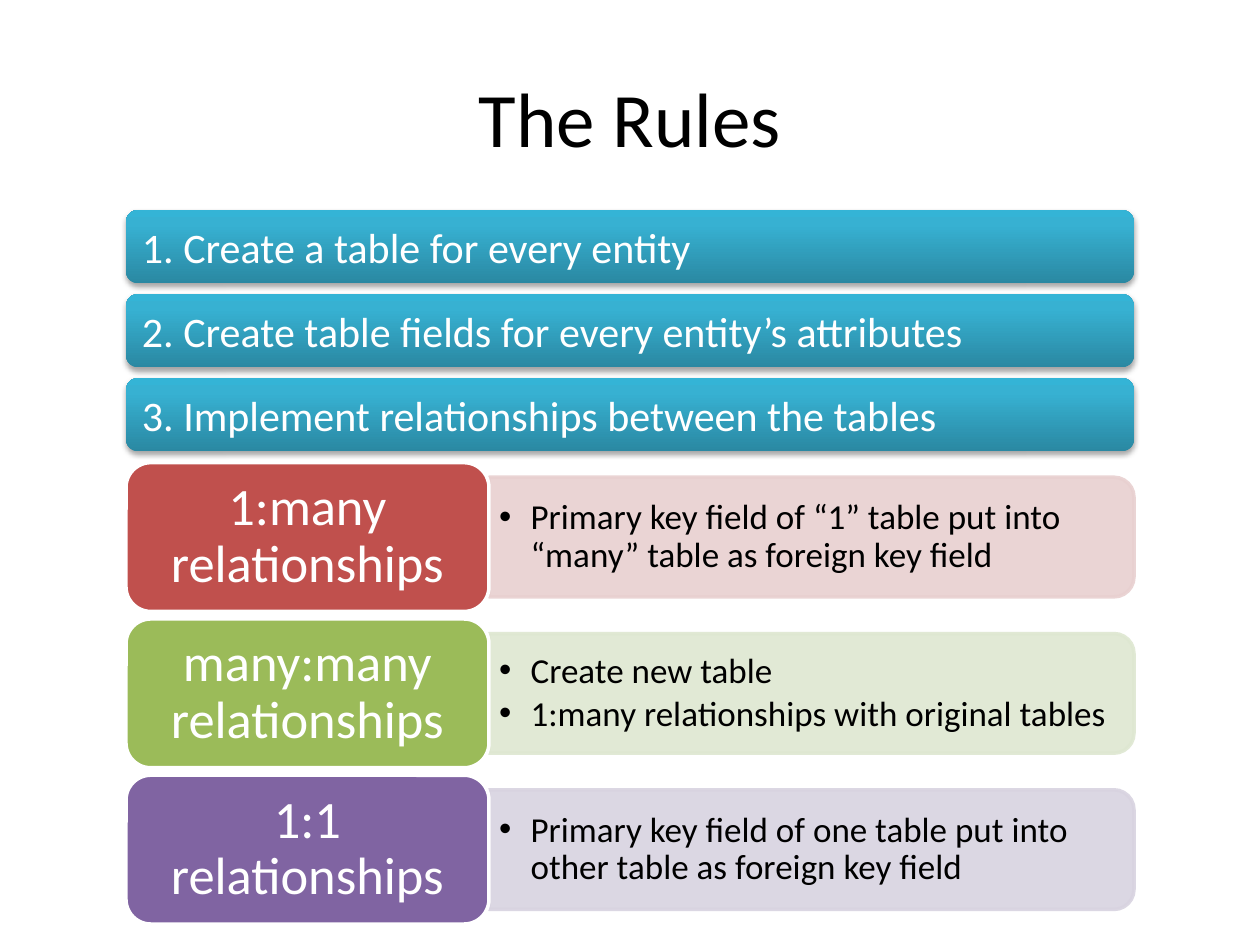
from pptx import Presentation
from pptx import util as u
from pptx.dml.color import RGBColor
from pptx.enum import shapes, text
from pptx.oxml import parse_xml
from pptx.oxml.ns import nsdecls, qn
from lxml import etree

TITLE = "The Rules"
RULES = [
    "1. Create a table for every entity",
    "2. Create table fields for every entity’s attributes",
    "3. Implement relationships between the tables",
]
RELATIONSHIPS = [
    ("1:many relationships", "C0504D", "E8D0D0",
     ["Primary key field of “1” table put into “many” table as foreign key field"]),
    ("many:many relationships", "9BBB59", "DEE7D1",
     ["Create new table", "1:many relationships with original tables"]),
    ("1:1 relationships", "8064A2", "D8D3E0",
     ["Primary key field of one table put into other table as foreign key field"]),
]

THEME = {
    "font": "Calibri", "dark": "000000", "light": "FFFFFF",
    "title": 44, "rule": 24, "label": 30, "detail": 20,
    "gradient": [(0, "2A88A2"), (80, "37B1D2"), (100, "34B4D6")],
}
LEFT, WIDTH = 72, 576
RULE_TOP, RULE_HEIGHT, RULE_PITCH = 120, 42, 48
LABEL_TOP, LABEL_WIDTH, LABEL_HEIGHT, LABEL_PITCH = 264.4, 207.4, 85, 89.3
PANEL_HEIGHT = 68.4


def points(*lengths):
    return [u.Pt(length) for length in lengths]


def add_span(para, words, size, color):
    span = para.add_run()
    span.text = words
    span.font.name = THEME["font"]
    span.font.size = u.Pt(THEME[size])
    span.font.color.rgb = RGBColor.from_string(THEME[color])


def prepare_frame(box, across=7.2, down=3.6):
    frame = box.text_frame
    frame.word_wrap = True
    frame.vertical_anchor = text.MSO_ANCHOR.MIDDLE
    frame.margin_left = frame.margin_right = u.Pt(across)
    frame.margin_top = frame.margin_bottom = u.Pt(down)
    return frame


def add_block(page, kind, place, fill, line):
    block = page.shapes.add_shape(kind, *points(*place))
    block.shadow.inherit = False
    block.fill.solid()
    block.fill.fore_color.rgb = RGBColor.from_string(fill)
    block.line.color.rgb = RGBColor.from_string(line)
    block.line.width = u.Pt(2)
    return block


def add_rule(page, words, top):
    bar = page.shapes.add_shape(
        shapes.MSO_SHAPE.ROUNDED_RECTANGLE, *points(LEFT, top, WIDTH, RULE_HEIGHT))
    bar.line.fill.background()
    stops = "".join(
        f'<a:gs pos="{stop * 1000}"><a:srgbClr val="{color}"/></a:gs>'
        for stop, color in THEME["gradient"])
    gradient = parse_xml(
        f'<a:gradFill {nsdecls("a")} rotWithShape="1"><a:gsLst>{stops}</a:gsLst>'
        '<a:lin ang="16200000" scaled="0"/></a:gradFill>')
    shadow = parse_xml(
        f'<a:effectLst {nsdecls("a")}><a:outerShdw blurRad="{u.Pt(3.1)}" dist="{u.Pt(1.8)}" '
        'dir="5400000" rotWithShape="0"><a:srgbClr val="000000"><a:alpha val="35000"/>'
        '</a:srgbClr></a:outerShdw></a:effectLst>')
    properties = bar.element.spPr
    properties.find(qn("a:prstGeom")).addnext(gradient)
    properties.find(qn("a:ln")).addnext(shadow)
    para = prepare_frame(bar).paragraphs[0]
    para.alignment = text.PP_ALIGN.LEFT
    add_span(para, words, "rule", "light")


def add_panel(page, left, middle, width, color):
    center = left + width / 2
    place = (center - PANEL_HEIGHT / 2, middle - width / 2, PANEL_HEIGHT, width)
    panel = add_block(page, shapes.MSO_SHAPE.ROUND_2_SAME_RECTANGLE, place, color, color)
    panel.rotation = 90
    for tint in panel.element.spPr.iter(qn("a:srgbClr")):
        etree.SubElement(tint, qn("a:alpha"), val="90000")


def add_details(page, left, middle, width, items):
    height = PANEL_HEIGHT - 7
    box = page.shapes.add_textbox(*points(left, middle - height / 2, width - 3.5, height))
    frame = prepare_frame(box, 5.8, 2.9)
    for index, words in enumerate(items):
        para = frame.add_paragraph() if index else frame.paragraphs[0]
        para.level = 1
        para.line_spacing = 0.9
        para.space_after = u.Pt(3)
        properties = para._p.get_or_add_pPr()
        properties.set("marL", str(u.Pt(18)))
        properties.set("indent", str(-u.Pt(18)))
        etree.SubElement(properties, qn("a:buFont"), typeface="Arial")
        etree.SubElement(properties, qn("a:buChar"), char="•")
        add_span(para, words, "detail", "dark")


def add_relationship(page, top, label, color, tint, items):
    middle = top + LABEL_HEIGHT / 2
    left, width = LEFT + LABEL_WIDTH, WIDTH - LABEL_WIDTH
    add_panel(page, left, middle, width, tint)
    add_details(page, left, middle, width, items)
    block = add_block(page, shapes.MSO_SHAPE.ROUNDED_RECTANGLE,
                      (LEFT, top, LABEL_WIDTH, LABEL_HEIGHT), color, THEME["light"])
    para = prepare_frame(block, 8.6, 4.3).paragraphs[0]
    para.alignment = text.PP_ALIGN.CENTER
    para.line_spacing = 0.9
    add_span(para, label, "label", "light")


def main():
    deck = Presentation()
    deck.slide_width, deck.slide_height = points(720, 540)
    page = deck.slides.add_slide(deck.slide_layouts[5])
    title = page.shapes.title
    title.left, title.top, title.width, title.height = points(36, 21.6, 648, 90)
    para = prepare_frame(title).paragraphs[0]
    para.alignment = text.PP_ALIGN.CENTER
    add_span(para, TITLE, "title", "dark")
    for index, relationship in enumerate(RELATIONSHIPS):
        add_relationship(page, LABEL_TOP + index * LABEL_PITCH, *relationship)
    for index, words in enumerate(RULES):
        add_rule(page, words, RULE_TOP + index * RULE_PITCH)
    deck.save("out.pptx")


if __name__ == "__main__":
    main()
